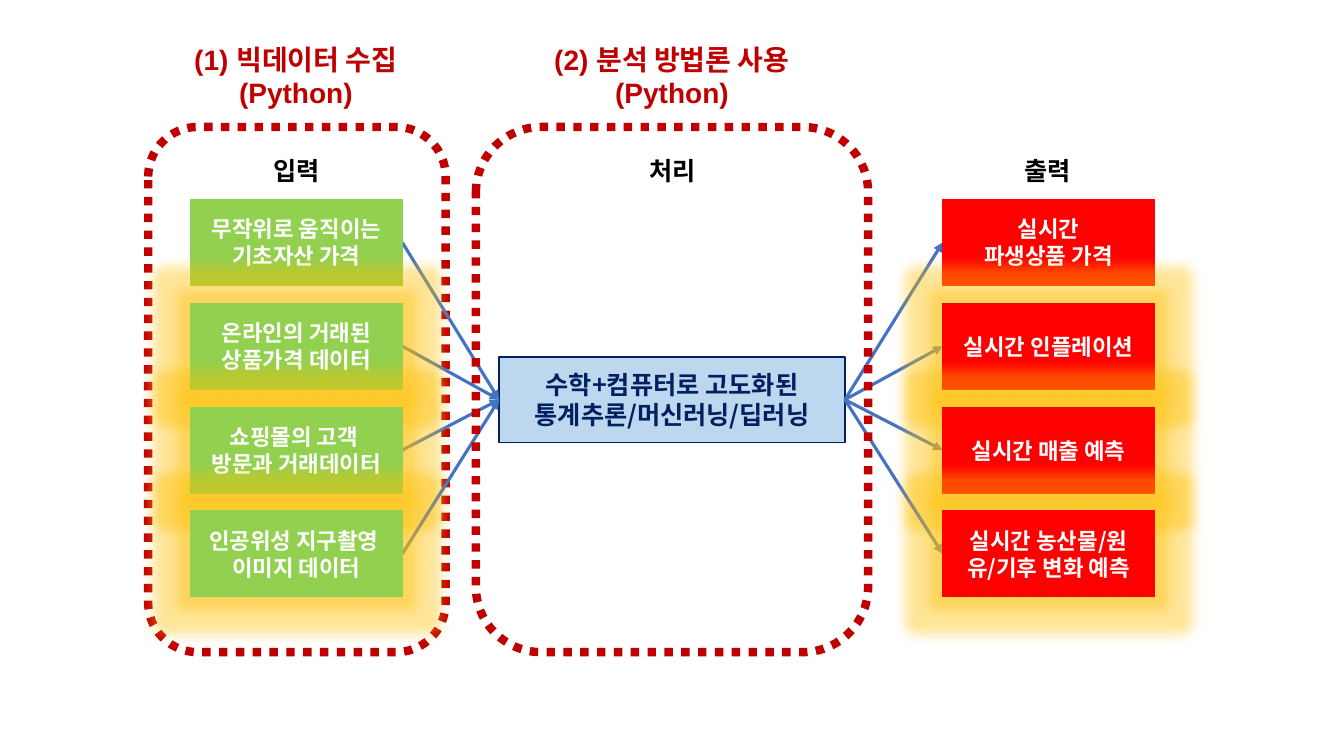
from lxml import etree
from pptx import Presentation
from pptx import util as u
from pptx.dml.color import RGBColor
from pptx.enum import dml, shapes, text
from pptx.oxml.ns import qn

RED = RGBColor(0xC0, 0x00, 0x00)
BRIGHT_RED = RGBColor(0xFF, 0x00, 0x00)
GREEN = RGBColor(0x92, 0xD0, 0x50)
PALE_BLUE = RGBColor(0xBD, 0xD7, 0xEE)
NAVY = RGBColor(0x00, 0x20, 0x60)
ARROW_BLUE = RGBColor(0x44, 0x72, 0xC4)
GLOW = RGBColor(0xFF, 0xC0, 0x00)
BLACK = RGBColor(0x00, 0x00, 0x00)
WHITE = RGBColor(0xFF, 0xFF, 0xFF)
KOREAN = "Noto Sans CJK KR"


def write(frame, lines, size=16, color=WHITE, font=KOREAN):
    """Fill a text frame with centred bold paragraphs."""
    frame.word_wrap = True
    for index, line in enumerate(lines):
        paragraph = frame.paragraphs[0] if index == 0 else frame.add_paragraph()
        paragraph.alignment = text.PP_ALIGN.CENTER
        run = paragraph.add_run()
        run.text = line
        run.font.size = u.Pt(size)
        run.font.bold = True
        run.font.name = font
        run.font.color.rgb = color
        east_asian = etree.SubElement(run.font._element, qn("a:ea"))
        east_asian.set("typeface", KOREAN)


class Diagram:
    """Holds the slide and the style of its elements."""

    def __init__(self, slide):
        self.slide = slide

    def label(self, left, top, width, height, lines, **style):
        box = self.slide.shapes.add_textbox(
            u.Inches(left), u.Inches(top), u.Inches(width), u.Inches(height))
        write(box.text_frame, lines, font="Arial", **style)

    def shape(self, kind, left, top, width, height, line, line_width):
        shape = self.slide.shapes.add_shape(
            kind, u.Inches(left), u.Inches(top), u.Inches(width), u.Inches(height))
        shape.shadow.inherit = False
        shape.line.color.rgb = line
        shape.line.width = u.Pt(line_width)
        return shape

    def frame(self, left, width):
        shape = self.shape(shapes.MSO_SHAPE.ROUNDED_RECTANGLE,
                           left, 1.26, width, 5.21, RED, 6)
        shape.fill.background()
        shape.line.dash_style = dml.MSO_LINE.ROUND_DOT

    def box(self, left, top, width, lines, fill, line=None, glow=False, **style):
        shape = self.shape(shapes.MSO_SHAPE.RECTANGLE,
                           left, top, width, BOX_HEIGHT, line or fill, 1)
        shape.fill.solid()
        shape.fill.fore_color.rgb = fill
        shape.text_frame.vertical_anchor = text.MSO_ANCHOR.MIDDLE
        write(shape.text_frame, lines, **style)
        if glow:
            effects = shape._element.spPr.find(qn("a:effectLst"))
            halo = etree.SubElement(effects, qn("a:glow"), rad=str(u.Pt(18)))
            color = etree.SubElement(halo, qn("a:srgbClr"), val=str(GLOW))
            etree.SubElement(color, qn("a:alpha"), val="40000")

    def arrow(self, start_x, start_y, end_x, end_y):
        connector = self.slide.shapes.add_connector(
            shapes.MSO_CONNECTOR.STRAIGHT, u.Inches(start_x), u.Inches(start_y),
            u.Inches(end_x), u.Inches(end_y))
        connector.line.color.rgb = ARROW_BLUE
        connector.line.width = u.Pt(2.25)
        etree.SubElement(connector.line._get_or_add_ln(), qn("a:tailEnd"), type="triangle")
        etree.SubElement(connector._element.spPr, qn("a:effectLst"))


BOX_HEIGHT = 0.85
BOX_WIDTH = 2.1
INPUT_LEFT, OUTPUT_LEFT = 1.89, 9.35
CENTER_LEFT, CENTER_TOP, CENTER_WIDTH = 4.95, 3.54, 3.43
FIRST_ROW, ROW_STEP = 1.98, 1.03

ROWS = [
    (["무작위로 움직이는 기초자산 가격"], ["실시간", "파생상품 가격"]),
    (["온라인의 거래된 상품가격 데이터"], ["실시간 인플레이션"]),
    (["쇼핑몰의 고객 ", "방문과 거래데이터"], ["실시간 매출 예측"]),
    (["인공위성 지구촬영 ", "이미지 데이터"], ["실시간 농산물/원유/기후 변화 예측"]),
]


def main():
    presentation = Presentation()
    presentation.slide_width = u.Inches(13.33)
    presentation.slide_height = u.Inches(7.5)
    diagram = Diagram(presentation.slides.add_slide(presentation.slide_layouts[6]))

    # Input frame and column headings
    diagram.frame(1.47, 2.95)
    for left, heading in ((0.86, "입력"), (4.59, "처리"), (8.31, "출력")):
        diagram.label(left, 1.49, 4.16, 0.4, [heading], size=18, color=BLACK)

    # Central processing step
    diagram.box(CENTER_LEFT, CENTER_TOP, CENTER_WIDTH,
                ["수학+컴퓨터로 고도화된", "통계추론/머신러닝/딥러닝"],
                PALE_BLUE, line=NAVY, size=18, color=NAVY)

    # Inputs and outputs, row by row; all rows but the first glow
    center_y = CENTER_TOP + BOX_HEIGHT / 2
    for row, (inputs, outputs) in enumerate(ROWS):
        top = FIRST_ROW + row * ROW_STEP
        middle = top + BOX_HEIGHT / 2
        diagram.arrow(INPUT_LEFT + BOX_WIDTH, middle, CENTER_LEFT, center_y)
        diagram.box(INPUT_LEFT, top, BOX_WIDTH, inputs, GREEN, glow=row > 0)
        diagram.arrow(CENTER_LEFT + CENTER_WIDTH, center_y, OUTPUT_LEFT, middle)
        diagram.box(OUTPUT_LEFT, top, BOX_WIDTH, outputs, BRIGHT_RED, glow=row > 0)

    # Processing frame and step titles
    diagram.frame(4.72, 3.89)
    diagram.label(1.72, 0.37, 2.43, 0.77, ["(1) 빅데이터 수집", "(Python)"],
                  size=20, color=RED)
    diagram.label(5.2, 0.37, 2.93, 0.77, ["(2) 분석 방법론 사용", "(Python)"],
                  size=20, color=RED)

    presentation.save("out.pptx")


if __name__ == "__main__":
    main()
